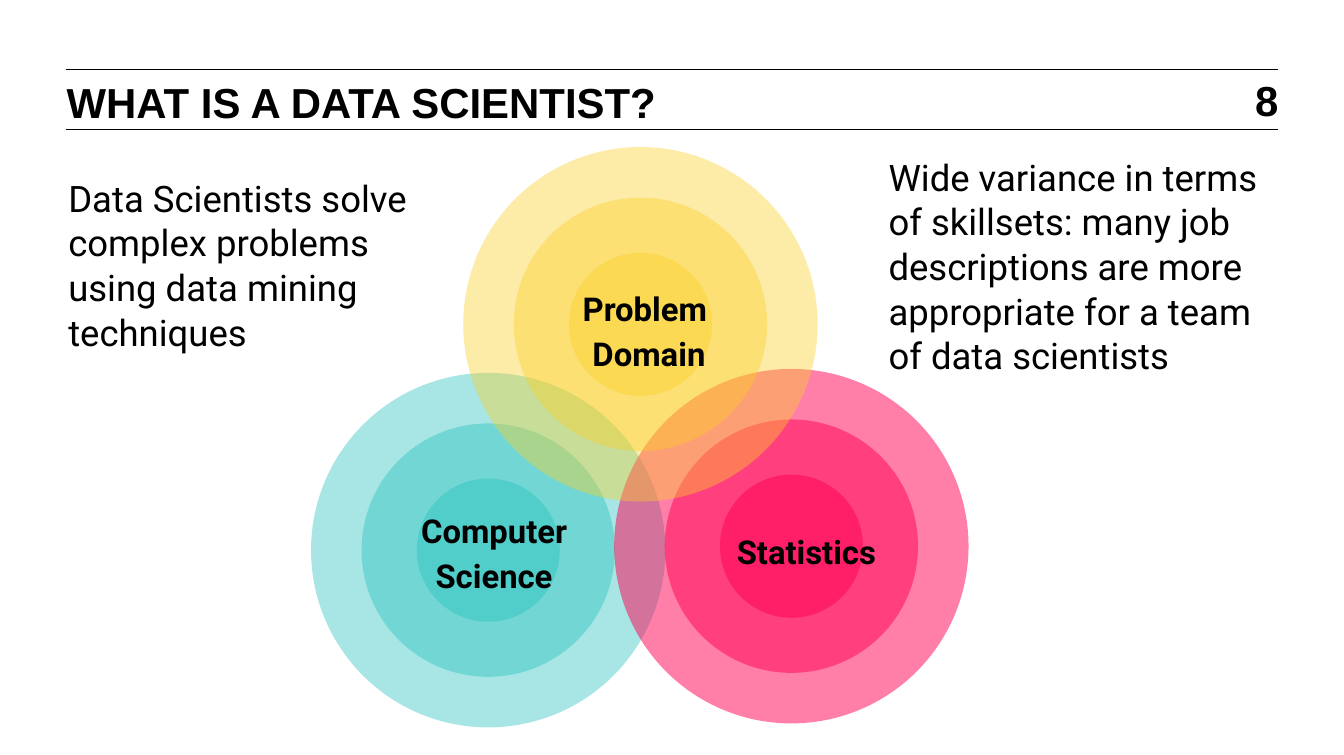
from lxml import etree
from pptx import Presentation, util as u
from pptx.dml.color import RGBColor
from pptx.enum import shapes, text
from pptx.oxml.ns import qn

PX = 9144  # 100 px to the inch
COLORS = {"ink": "000000", "teal": "23C2BC", "pink": "FF0054", "gold": "FBD025"}
SIZES = (270, 193, 109)
LEFT, MID, RIGHT = text.PP_ALIGN.LEFT, text.PP_ALIGN.CENTER, text.PP_ALIGN.RIGHT

RULES = (53, 99)
# center, color, opacity in percent, label lines, label box
RINGS = [
    ((372, 419), "teal", 40, ["Computer Science"], (268, 381, 217, 74)),
    ((603, 416), "pink", 50, ["Statistics"], (506, 397, 217, 42)),
    ((488, 247), "gold", 40, ["Problem ", "Domain"], (386, 212, 217, 42)),
]
TITLE = (["WHAT IS A DATA SCIENTIST?"], (41, 58, 700, 33))
NUMBER = (["8"], (946, 62, 28, 34))
NOTES = [
    (["Data Scientists solve", "complex problems", "using data mining techniques"],
     (45, 129, 308, 152)),
    (["Wide variance in terms of skillsets: many job descriptions are more "
      "appropriate for a team of data scientists"], (670, 113, 308, 152)),
]


def emu(*vals):
    return [u.Emu(round(v * PX)) for v in vals]


def rgb(name):
    return RGBColor.from_string(COLORS[name])


def add_text(slide, lines, box, size, font="Roboto", bold=False, align=LEFT,
             pads=(7, 4, 7, 4), space=24.5, anchor=text.MSO_ANCHOR.TOP):
    frame = slide.shapes.add_textbox(*emu(*box)).text_frame
    frame.word_wrap = True
    frame.vertical_anchor = anchor
    (frame.margin_left, frame.margin_top,
     frame.margin_right, frame.margin_bottom) = emu(*pads)
    frame.text = "\n".join(lines)
    for para in frame.paragraphs:
        para.alignment = align
        para.line_spacing = u.Pt(space)
        for run in para.runs:
            run.font.name, run.font.size, run.font.bold = font, u.Pt(size), bold
            run.font.color.rgb = rgb("ink")


def add_rule(slide, y):
    line = slide.shapes.add_connector(
        shapes.MSO_CONNECTOR.STRAIGHT, *emu(50, y, 974, y))
    line.line.color.rgb = rgb("ink")
    line.line.width = u.Pt(0.5)
    etree.SubElement(line._element.spPr, qn("a:effectLst"))


def add_disc(slide, center, size, color, alpha):
    x, y = (c - size / 2 for c in center)
    disc = slide.shapes.add_shape(
        shapes.MSO_SHAPE.OVAL, *emu(x, y, size, size))
    disc.shadow.inherit = False
    disc.line.fill.background()
    disc.fill.solid()
    disc.fill.fore_color.rgb = rgb(color)
    tint = disc._element.spPr.find(qn("a:solidFill"))[0]
    etree.SubElement(tint, qn("a:alpha"), val=str(alpha * 1000))


def main():
    deck = Presentation()
    deck.slide_width, deck.slide_height = emu(1024, 575)
    slide = deck.slides.add_slide(deck.slide_layouts[6])
    for y in RULES:
        add_rule(slide, y)
    add_text(slide, *TITLE, 23, "Arial", True, pads=(10, 5, 10, 5))
    add_text(slide, *NUMBER, 23, "Arial", True, RIGHT, (7, 4, 0, 4), 23,
             text.MSO_ANCHOR.MIDDLE)
    for center, color, alpha, label, box in RINGS:
        for size in SIZES:
            add_disc(slide, center, size, color, alpha)
        add_text(slide, label, box, 18, bold=True, align=MID)
    for lines, box in NOTES:
        add_text(slide, lines, box, 20)
    deck.save("out.pptx")


if __name__ == "__main__":
    main()
